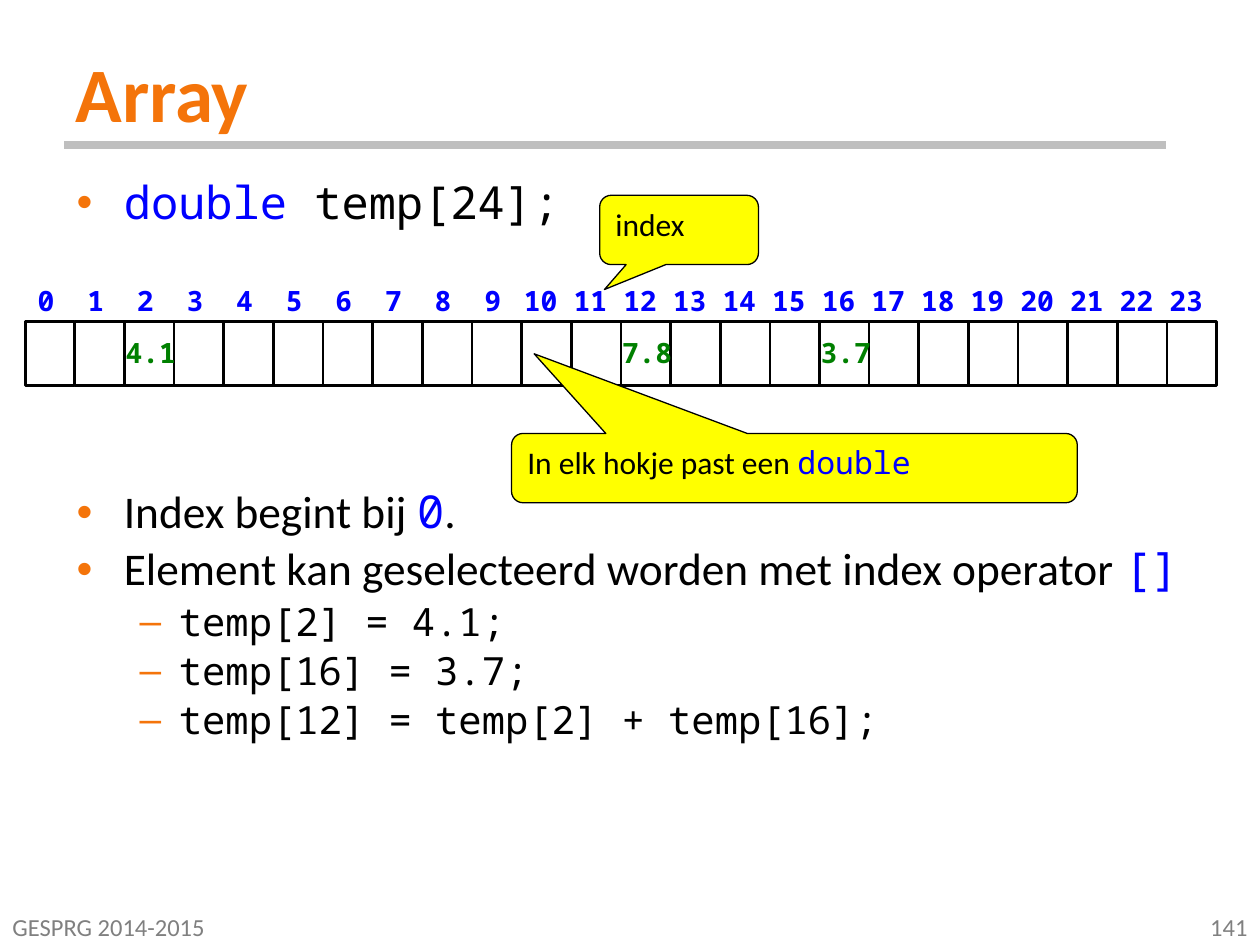
"""Builds a slide on arrays, with an indexed row of cells and two callouts."""
from dataclasses import dataclass
from lxml import etree
from pptx import Presentation
from pptx.dml.color import RGBColor
from pptx.enum.shapes import MSO_CONNECTOR, MSO_SHAPE
from pptx.enum.text import MSO_ANCHOR, PP_ALIGN
from pptx.oxml.ns import qn
from pptx.util import Inches, Pt

LINE = MSO_CONNECTOR.STRAIGHT
RECT = MSO_SHAPE.RECTANGLE
BUBBLE = MSO_SHAPE.ROUNDED_RECTANGULAR_CALLOUT
TOP, MIDDLE = MSO_ANCHOR.TOP, MSO_ANCHOR.MIDDLE
LEFT, RIGHT = PP_ALIGN.LEFT, PP_ALIGN.RIGHT


@dataclass
class Theme:
    sans: str = "Calibri"
    mono: str = "Noto Sans Mono"
    accent: str = "F4740A"
    code: str = "0000FF"
    ink: str = "000000"
    value: str = "008000"
    note: str = "FFFF00"
    rule: str = "BFBFBF"
    muted: str = "808080"
    title: float = 44
    body: float = 25.9
    sub: float = 22.2
    call: float = 18
    label: float = 16
    foot: float = 14


T = Theme()
deck = Presentation()
deck.slide_width, deck.slide_height = Inches(10), Inches(7.5)
COL, ROW = deck.slide_width / 100, deck.slide_height / 75
slide = deck.slides.add_slide(deck.slide_layouts[5])
shapes = slide.shapes


def grid(x, y, w, h):
    return int(x * COL), int(y * ROW), int(w * COL), int(h * ROW)


def write(para, parts, size, bold=False, align=LEFT):
    para.alignment = align
    for text, face, color in parts:
        run = para.add_run()
        run.text = text
        run.font.name, run.font.size, run.font.bold = face, Pt(size), bold
        run.font.color.rgb = RGBColor.from_string(color)


rule = shapes.add_connector(LINE, *grid(5.1, 11.5, 92.5, 11.5))
rule.line.color.rgb = RGBColor.from_string(T.rule)
rule.line.width = Pt(4.5)
etree.SubElement(rule._element.spPr, qn("a:effectLst"))

title = shapes.title
title.left, title.top, title.width, title.height = grid(5, 3, 90, 8.5)
title.text_frame.vertical_anchor = MIDDLE
write(title.text_frame.paragraphs[0], [("Array", T.sans, T.accent)], T.title, True)

body = shapes.add_textbox(*grid(5.1, 13.8, 90, 52)).text_frame
body.word_wrap = True
items = [
    (0, 0, [("double", T.mono, T.code), (" temp[24];", T.mono, T.ink)]),
    (0, 149, [("Index begint bij ", T.sans, T.ink), ("0", T.mono, T.code),
              (".", T.sans, T.ink)]),
    (0, 4.5, [("Element kan geselecteerd worden met index operator ", T.sans, T.ink),
              ("[]", T.mono, T.code)]),
    (1, 4, [("temp[2] = 4.1;", T.mono, T.ink)]),
    (1, 4, [("temp[16] = 3.7;", T.mono, T.ink)]),
    (1, 4, [("temp[12] = temp[2] + temp[16];", T.mono, T.ink)]),
]
levels = [("•", 3.75, 3.75, T.body), ("–", 8.12, 3.12, T.sub)]
for spot, (level, gap, parts) in enumerate(items):
    mark, indent, hang, size = levels[level]
    para = body.add_paragraph() if spot else body.paragraphs[0]
    para.level = level
    para.line_spacing = 0.9
    para.space_before = Pt(gap)
    props = para._p.get_or_add_pPr()
    props.set("marL", str(int(indent * COL)))
    props.set("indent", str(int(-hang * COL)))
    tint = etree.SubElement(props, qn("a:buClr"))
    etree.SubElement(tint, qn("a:srgbClr"), val=T.accent)
    etree.SubElement(props, qn("a:buFont"), typeface="Arial")
    etree.SubElement(props, qn("a:buChar"), char=mark)
    write(para, parts, size)

COUNT, START, STEP = 24, 2, 3.94
for spot in range(COUNT):
    cell = shapes.add_shape(RECT, *grid(START + spot * STEP, 25.5, STEP, 5.1))
    cell.shadow.inherit = False
    cell.fill.background()
    cell.line.color.rgb = RGBColor.from_string(T.ink)
    cell.line.width = Pt(1.5)

labels = []
for spot in range(COUNT):
    shift, width = (0, 3.8) if spot < 10 else (-0.8, 5.5)
    box = grid(START + spot * STEP + shift, 22, width, 3.7)
    labels.append((box, str(spot), T.mono, T.code, T.label, True, TOP, LEFT))
for spot, text in [(2, "4.1"), (16, "3.7"), (12, "7.8")]:
    box = grid(START + spot * STEP - 0.9, 26.15, 11.8, 3.4)
    labels.append((box, text, T.mono, T.value, T.label, True, TOP, LEFT))
for x, text, align in [(0, "GESPRG 2014-2015", LEFT), (76.7, "141", RIGHT)]:
    box = grid(x, 72.1, 23.3, 2.9)
    labels.append((box, text, T.sans, T.muted, T.foot, False, MIDDLE, align))

notes = [
    ((47.6, 15.5, 12.6, 5.5), (-0.47, 0.86), [("index", T.sans, T.ink)]),
    ((40.6, 34.4, 44.9, 5.5), (-0.46, -1.65),
     [("In elk hokje past een ", T.sans, T.ink), ("double", T.mono, T.code)]),
]
for box, tip, parts in notes:
    note = shapes.add_shape(BUBBLE, *grid(*box))
    note.shadow.inherit = False
    note.adjustments[0], note.adjustments[1] = tip
    note.fill.solid()
    note.fill.fore_color.rgb = RGBColor.from_string(T.note)
    note.line.color.rgb = RGBColor.from_string(T.ink)
    note.line.width = Pt(0.75)
    note.text_frame.vertical_anchor = TOP
    write(note.text_frame.paragraphs[0], parts, T.call)

for box, text, face, color, size, bold, anchor, align in labels:
    frame = shapes.add_textbox(*box).text_frame
    frame.word_wrap = True
    frame.vertical_anchor = anchor
    write(frame.paragraphs[0], [(text, face, color)], size, bold, align)

deck.save("out.pptx")
